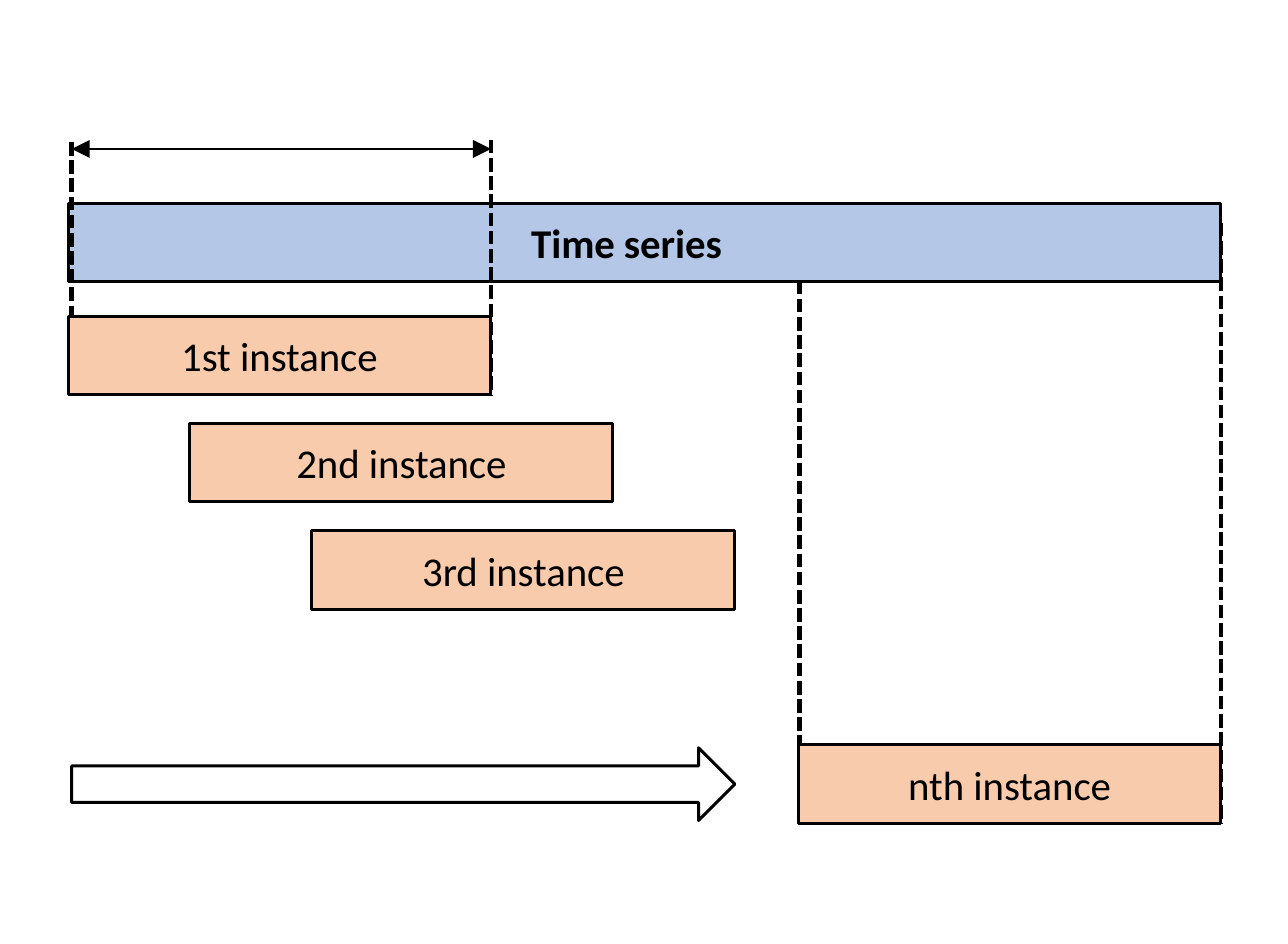
from lxml import etree
from pptx import Presentation
from pptx.dml.color import RGBColor
from pptx.enum.dml import MSO_LINE
from pptx.enum.shapes import MSO_CONNECTOR, MSO_SHAPE
from pptx.enum.text import MSO_ANCHOR, PP_ALIGN
from pptx.oxml.ns import qn
from pptx.util import Pt

RECT, ARROW = MSO_SHAPE.RECTANGLE, MSO_SHAPE.RIGHT_ARROW
STRAIGHT = MSO_CONNECTOR.STRAIGHT
DASH = MSO_LINE.SQUARE_DOT
MIDDLE, CENTER = MSO_ANCHOR.MIDDLE, PP_ALIGN.CENTER

COLORS = {"series": "B4C7E7", "instance": "F8CBAD", "arrow": "FFFFFF", "ink": "000000"}
FONT = {"name": "Calibri", "size": Pt(13.5)}

BAR_H = 26
WINDOW_W = 139.7
STEP_X, STEP_Y = 40.3, 35.4
INSTANCES = ["1st instance", "2nd instance", "3rd instance"]
LAST_ROW = 4


def color(name):
    return RGBColor.from_string(COLORS[name])


def add_block(s, kind, box, fill):
    sp = s.shapes.add_shape(kind, *map(Pt, box))
    sp.shadow.inherit = False
    sp.fill.solid()
    sp.fill.fore_color.rgb = color(fill)
    sp.line.color.rgb = color("ink")
    sp.line.width = Pt(1)
    return sp


def add_label(sp, text, bold=False):
    tf = sp.text_frame
    tf.vertical_anchor = MIDDLE
    p = tf.paragraphs[0]
    p.alignment = CENTER
    r = p.add_run()
    r.text = text
    for key, value in {**FONT, "bold": bold}.items():
        setattr(r.font, key, value)
    r.font.color.rgb = color("ink")


def add_line(s, x1, y1, x2, y2, width):
    line = s.shapes.add_connector(STRAIGHT, *map(Pt, (x1, y1, x2, y2)))
    line.line.color.rgb = color("ink")
    line.line.width = Pt(width)
    etree.SubElement(line._element.spPr, qn("a:effectLst"))
    return line


def add_guide(s, x, top, bottom):
    """Draw a vertical dashed line marking one edge of a window."""
    add_line(s, x, top, x, bottom, 1.5).line.dash_style = DASH


def add_span_arrow(s, x1, x2, y):
    """Draw a thin horizontal line with an arrowhead at each end."""
    ln = add_line(s, x1, y, x2, y, 0.5).line._get_or_add_ln()
    for end in ("a:headEnd", "a:tailEnd"):
        etree.SubElement(ln, qn(end), type="triangle")


def add_series(s, x, y, w):
    sp = add_block(s, RECT, (x, y, w, BAR_H), "series")
    sp.text_frame.margin_right = Pt(19)
    add_label(sp, "Time series", bold=True)


def add_window_span(s, x, y, w, h):
    """Mark the window width above the series, down to the first instance."""
    left, right = x + 1.2, x + w
    add_guide(s, left, y, y + h)
    add_guide(s, right, y - 0.7, y + h)
    add_span_arrow(s, left, right, y + 2.3)


def add_instances(s, x, y, w):
    """Stagger the first windows and align the last one with the right edge."""
    places = [(x + i * STEP_X, i, text) for i, text in enumerate(INSTANCES)]
    places.append((x + w - WINDOW_W, LAST_ROW, "nth instance"))
    for left, row, text in places:
        box = (left, y + row * STEP_Y, WINDOW_W, BAR_H)
        add_label(add_block(s, RECT, box, "instance"), text)


def add_sliding_diagram(s, x, y, w):
    first_y = y + 37.3
    last_y = first_y + LAST_ROW * STEP_Y
    right = x + w
    add_guide(s, right - WINDOW_W + 0.4, y + 13.6, last_y + BAR_H)
    add_guide(s, right, y + 6.5, last_y + BAR_H)
    add_series(s, x, y, w)
    add_window_span(s, x, y - 20.2, WINDOW_W, 83.5)
    add_instances(s, x, first_y, w)
    third_right = x + 2 * STEP_X + WINDOW_W
    add_block(s, ARROW, (x + 1.2, last_y + 1, third_right - x - 1.2, 24), "arrow")


def main():
    prs = Presentation()
    prs.slide_width, prs.slide_height = Pt(425.5), Pt(311.8)
    s = prs.slides.add_slide(prs.slide_layouts[6])
    add_sliding_diagram(s, 22.5, 67.1, 380.9)
    prs.save("out.pptx")


if __name__ == "__main__":
    main()
